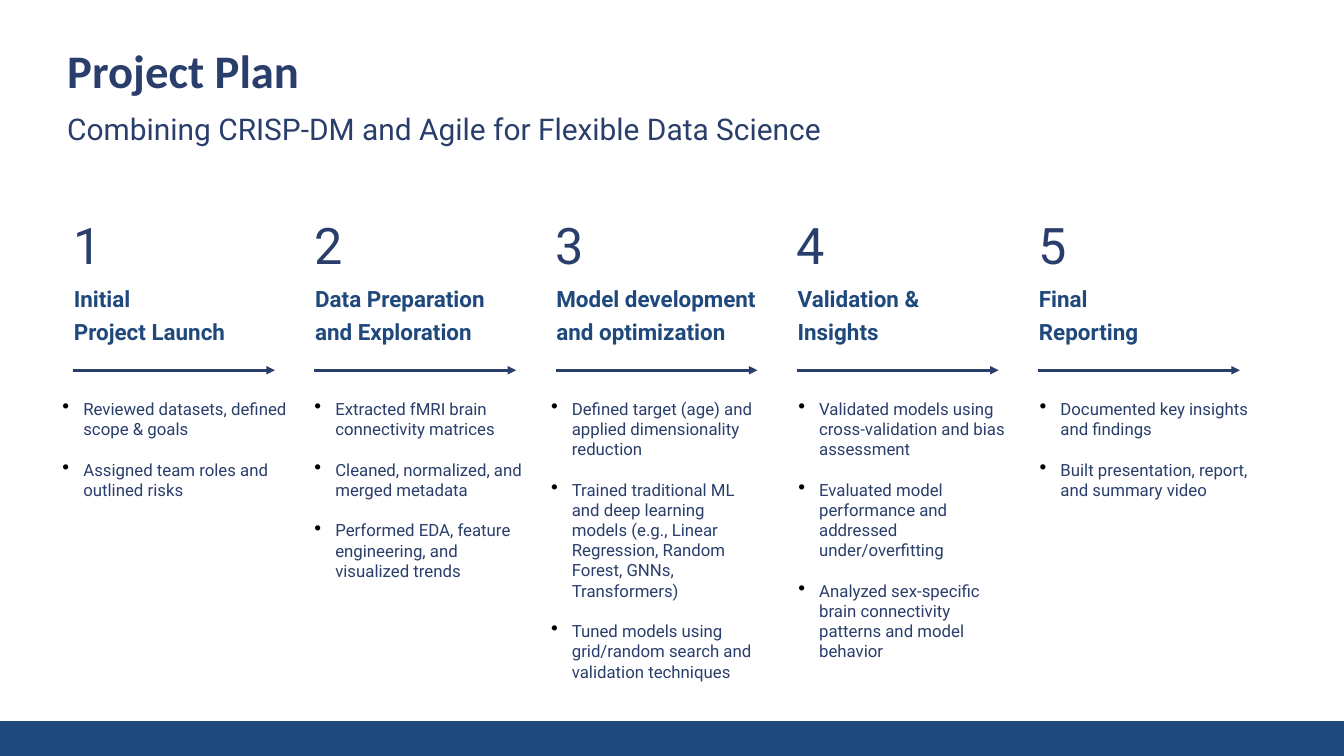
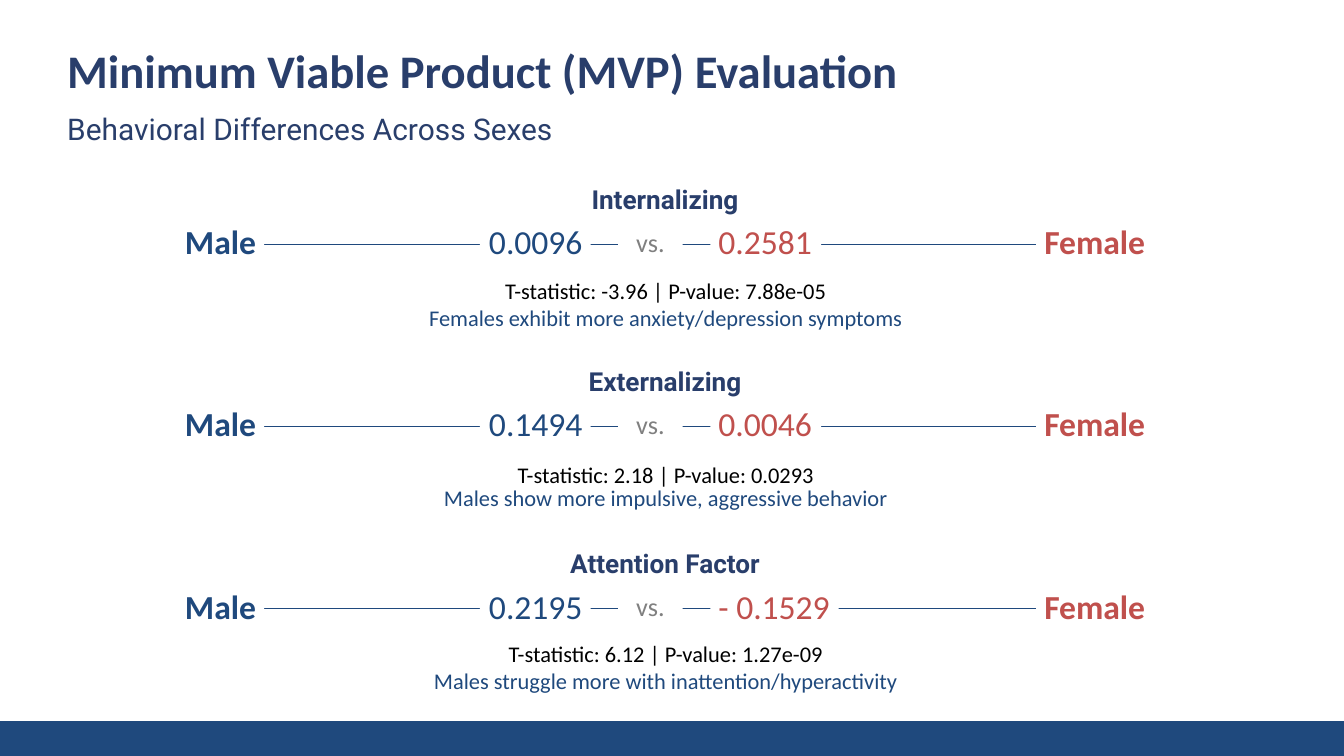
"""Build the project plan and the MVP evaluation slides."""
from dataclasses import dataclass, replace

import pptx
import pptx.dml.color
import pptx.enum.shapes
import pptx.enum.text
import pptx.oxml.ns
import pptx.util
from lxml import etree

Inches = pptx.util.Inches
Align = pptx.enum.text.PP_ALIGN
Anchor = pptx.enum.text.MSO_ANCHOR
qn = pptx.oxml.ns.qn

COLORS = {
    "navy": "293E6B",
    "blue": "1F497D",
    "red": "C0504D",
    "gray": "808080",
    "black": "000000",
    "white": "FFFFFF",
}


@dataclass(frozen=True)
class Style:
    size: float
    color: str
    font: str = "Calibri"
    bold: bool = False
    align: Align = Align.LEFT
    spacing: float = 1.0


@dataclass(frozen=True)
class Frame:
    anchor: Anchor = Anchor.TOP
    insets: tuple[float, float, float, float] = (0.1, 0.05, 0.1, 0.05)
    wrap: bool = True


@dataclass(frozen=True)
class Box:
    left: float
    top: float
    width: float
    height: float

    def emu(self) -> tuple:
        return tuple(Inches(v) for v in (self.left, self.top, self.width, self.height))


@dataclass(frozen=True)
class Step:
    heading: str
    heading_width: float
    list_box: Box
    tasks: tuple[str, ...]


@dataclass(frozen=True)
class Comparison:
    factor: str
    male: str
    female: str
    female_width: float
    statistic: str
    finding: str
    spacings: tuple[float, float]


TITLE = Style(50, "navy", bold=True)
SUBTITLE = Style(32, "navy", "Roboto")
NUMBER = Style(54, "navy", "Roboto", spacing=0.9)
HEADING = Style(24, "blue", "Roboto", bold=True, spacing=1.25)
TASK = Style(18, "navy", "Roboto")
FACTOR = Style(28, "navy", "Roboto", bold=True, align=Align.CENTER)
VERSUS = Style(28, "gray", align=Align.CENTER, spacing=0.9)
MALE = Style(36, "blue", align=Align.RIGHT, spacing=0.9)
FEMALE = Style(36, "red", spacing=0.9)
STATISTIC = Style(24, "black", align=Align.CENTER)

PLAIN = Frame()
TIGHT = Frame(insets=(0, 0, 0, 0))
NUMBER_FRAME = Frame(Anchor.MIDDLE, (0, 0, 0.08, 0.16))
HEADING_FRAME = Frame(Anchor.BOTTOM, (0, 0, 0, 0.08))
MIDDLE_FRAME = Frame(Anchor.MIDDLE)
VERSUS_FRAME = Frame(Anchor.MIDDLE, (0, 0, 0, 0))
LABEL_FRAME = Frame(Anchor.MIDDLE, (0.12, 0, 0.12, 0), wrap=False)
STATISTIC_FRAME = Frame(Anchor.MIDDLE, (0, 0.24, 0, 0))

FIRST_STEP_LEFT, STEP_PITCH, ARROW_LENGTH = 1.09, 3.59, 3
FIRST_ROW_Y, ROW_PITCH = 3.63, 2.71

STEPS = (
    Step("Initial\nProject Launch", 2.99, Box(0.93, 5.93, 3.42, 1.51), (
        "Reviewed datasets, defined scope & goals",
        "Assigned team roles and outlined risks",
    )),
    Step("Data Preparation and Exploration", 3, Box(4.68, 5.93, 3.24, 2.73), (
        "Extracted fMRI brain connectivity matrices",
        "Cleaned, normalized, and merged metadata",
        "Performed EDA, feature engineering, and visualized trends",
    )),
    Step("Model development and optimization", 3.57, Box(8.2, 5.93, 3.07, 4.24), (
        "Defined target (age) and applied dimensionality reduction",
        "Trained traditional ML and deep learning models (e.g., Linear Regression, "
        "Random Forest, GNNs, Transformers)",
        "Tuned models using grid/random search and validation techniques",
    )),
    Step("Validation & Insights", 3, Box(11.88, 5.93, 3.21, 3.94), (
        "Validated models using cross-validation and bias assessment",
        "Evaluated model performance and addressed under/overfitting",
        "Analyzed sex-specific brain connectivity patterns and model behavior",
    )),
    Step("Final\nReporting", 2.99, Box(15.47, 5.93, 3.54, 1.51), (
        "Documented key insights and findings",
        "Built presentation, report, and summary video",
    )),
)

COMPARISONS = (
    Comparison("Internalizing", "0.0096", "0.2581", 1.65,
               "T-statistic: -3.96 | P-value: 7.88e-05",
               "Females exhibit more anxiety/depression symptoms", (1.0, 1.0)),
    Comparison("Externalizing", "0.1494", "0.0046", 1.65,
               "T-statistic: 2.18 | P-value: 0.0293",
               "Males show more impulsive, aggressive behavior", (1.0, 0.9)),
    Comparison("Attention Factor", "0.2195", "- 0.1529", 1.91,
               "T-statistic: 6.12 | P-value: 1.27e-09",
               "Males struggle more with inattention/hyperactivity", (0.9, 1.0)),
)


def rgb(name: str) -> pptx.dml.color.RGBColor:
    return pptx.dml.color.RGBColor.from_string(COLORS[name])


def write(sp, text: str, frame: Frame, *styles: Style) -> None:
    tf = sp.text_frame
    tf.text = text
    tf.auto_size = pptx.enum.text.MSO_AUTO_SIZE.NONE
    tf.word_wrap = frame.wrap
    tf.vertical_anchor = frame.anchor
    tf.margin_left, tf.margin_top, tf.margin_right, tf.margin_bottom = (
        Inches(v) for v in frame.insets)
    for i, p in enumerate(tf.paragraphs):
        style = styles[min(i, len(styles) - 1)]
        p.alignment = style.align
        p.line_spacing = style.spacing
        p.space_before = pptx.util.Pt(0)
        for r in p.runs:
            r.font.name = style.font
            r.font.size = pptx.util.Pt(style.size)
            r.font.bold = style.bold
            r.font.color.rgb = rgb(style.color)


def add_text(slide, box: Box, text: str, frame: Frame, *styles: Style):
    sp = slide.shapes.add_textbox(*box.emu())
    write(sp, text, frame, *styles)
    return sp


def add_rect(slide, box: Box, color: str):
    sp = slide.shapes.add_shape(pptx.enum.shapes.MSO_SHAPE.RECTANGLE, *box.emu())
    sp.shadow.inherit = False
    sp.fill.solid()
    sp.fill.fore_color.rgb = rgb(color)
    sp.line.fill.background()
    return sp


def add_label(slide, box: Box, text: str, frame: Frame, style: Style) -> None:
    write(add_rect(slide, box, "white"), text, frame, style)


def add_line(slide, left: float, right: float, y: float, color: str, width: float,
             arrow: bool = False) -> None:
    line = slide.shapes.add_connector(
        pptx.enum.shapes.MSO_CONNECTOR.STRAIGHT,
        Inches(left), Inches(y), Inches(right), Inches(y))
    line.line.color.rgb = rgb(color)
    line.line.width = pptx.util.Pt(width)
    if arrow:
        etree.SubElement(line.line._get_or_add_ln(), qn("a:tailEnd"), type="triangle")
    etree.SubElement(line._element.spPr, qn("a:effectLst"))


def set_bullet(p) -> None:
    pPr = p._p.get_or_add_pPr()
    pPr.set("marL", str(Inches(0.31)))
    pPr.set("indent", str(-Inches(0.31)))
    color = etree.SubElement(pPr, qn("a:buClr"))
    etree.SubElement(color, qn("a:srgbClr"), val=COLORS["black"])
    etree.SubElement(pPr, qn("a:buSzPct"), val="120000")
    etree.SubElement(pPr, qn("a:buChar"), char="•")


def place(sp, box: Box) -> None:
    sp.left, sp.top, sp.width, sp.height = box.emu()


def add_slide(prs, title: str, subtitle: str):
    slide = prs.slides.add_slide(prs.slide_layouts[1])
    add_rect(slide, Box(0, 10.73, 20, 0.52), "blue")
    heading, body = slide.shapes.title, slide.placeholders[1]
    place(heading, Box(0.9, 0.58, 18.65, 1.18))
    write(heading, title, PLAIN, TITLE)
    place(body, Box(0.9, 1.6, 18.65, 0.95))
    write(body, subtitle, PLAIN, SUBTITLE)
    pPr = body.text_frame.paragraphs[0]._p.get_or_add_pPr()
    pPr.set("marL", "0")
    pPr.set("indent", "0")
    etree.SubElement(pPr, qn("a:buNone"))
    return slide


def add_step(slide, index: int, step: Step) -> None:
    left = FIRST_STEP_LEFT + index * STEP_PITCH
    add_label(slide, Box(left, 3.41, 0.58, 0.73), str(index + 1), NUMBER_FRAME, NUMBER)
    add_text(slide, Box(left + 0.01, 4.17, step.heading_width, 1.05),
             step.heading, HEADING_FRAME, HEADING)
    add_line(slide, left, left + ARROW_LENGTH, 5.51, "navy", 3, arrow=True)
    tasks = add_text(slide, step.list_box, "\n".join(step.tasks), TIGHT, TASK)
    for i, p in enumerate(tasks.text_frame.paragraphs):
        set_bullet(p)
        if i:
            p.space_before = pptx.util.Pt(22)


def add_comparison(slide, index: int, row: Comparison) -> None:
    y = FIRST_ROW_Y + index * ROW_PITCH
    add_text(slide, Box(3.79, y + 0.26, 12.23, 1.03), f"{row.statistic}\n{row.finding}",
             STATISTIC_FRAME,
             replace(STATISTIC, spacing=row.spacings[0]),
             replace(STATISTIC, color="blue", spacing=row.spacings[1]))
    add_line(slide, 2.65, 16.94, y, "blue", 0.5)
    add_label(slide, Box(9.2, y - 0.22, 0.96, 0.44), "vs.", VERSUS_FRAME, VERSUS)
    for left, width, text, style in (
        (10.57, row.female_width, row.female, FEMALE),
        (7.14, 1.65, row.male, MALE),
        (15.42, 1.75, "Female", replace(FEMALE, bold=True)),
        (2.62, 1.31, "Male", replace(MALE, bold=True)),
    ):
        add_label(slide, Box(left, y - 0.28, width, 0.56), text, LABEL_FRAME, style)
    add_text(slide, Box(2.65, y - 1.07, 14.49, 0.79), row.factor, MIDDLE_FRAME, FACTOR)


def main() -> None:
    prs = pptx.Presentation()
    prs.slide_width, prs.slide_height = Inches(20), Inches(11.25)
    plan = add_slide(prs, "Project Plan",
                     "Combining CRISP-DM and Agile for Flexible Data Science")
    for i, step in enumerate(STEPS):
        add_step(plan, i, step)
    evaluation = add_slide(prs, "Minimum Viable Product (MVP) Evaluation",
                           "Behavioral Differences Across Sexes")
    for i, row in enumerate(COMPARISONS):
        add_comparison(evaluation, i, row)
    prs.save("out.pptx")


if __name__ == "__main__":
    main()
